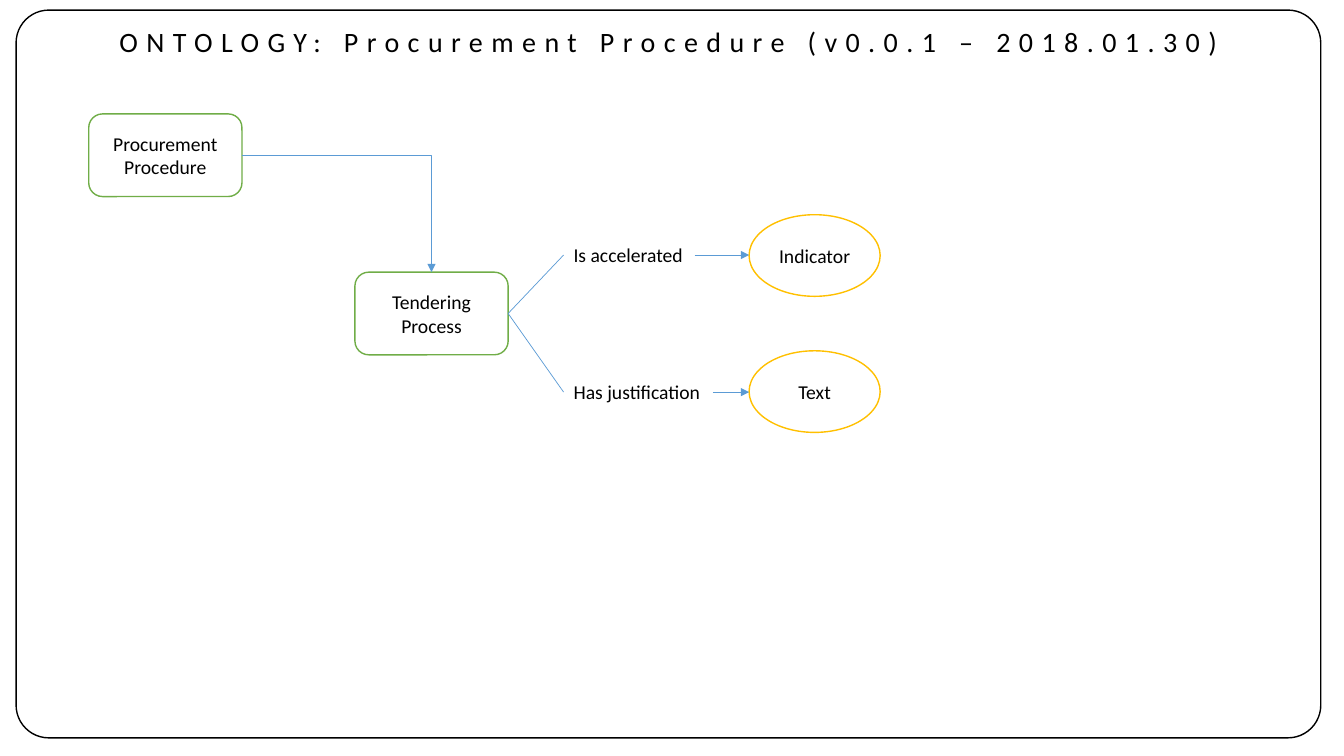
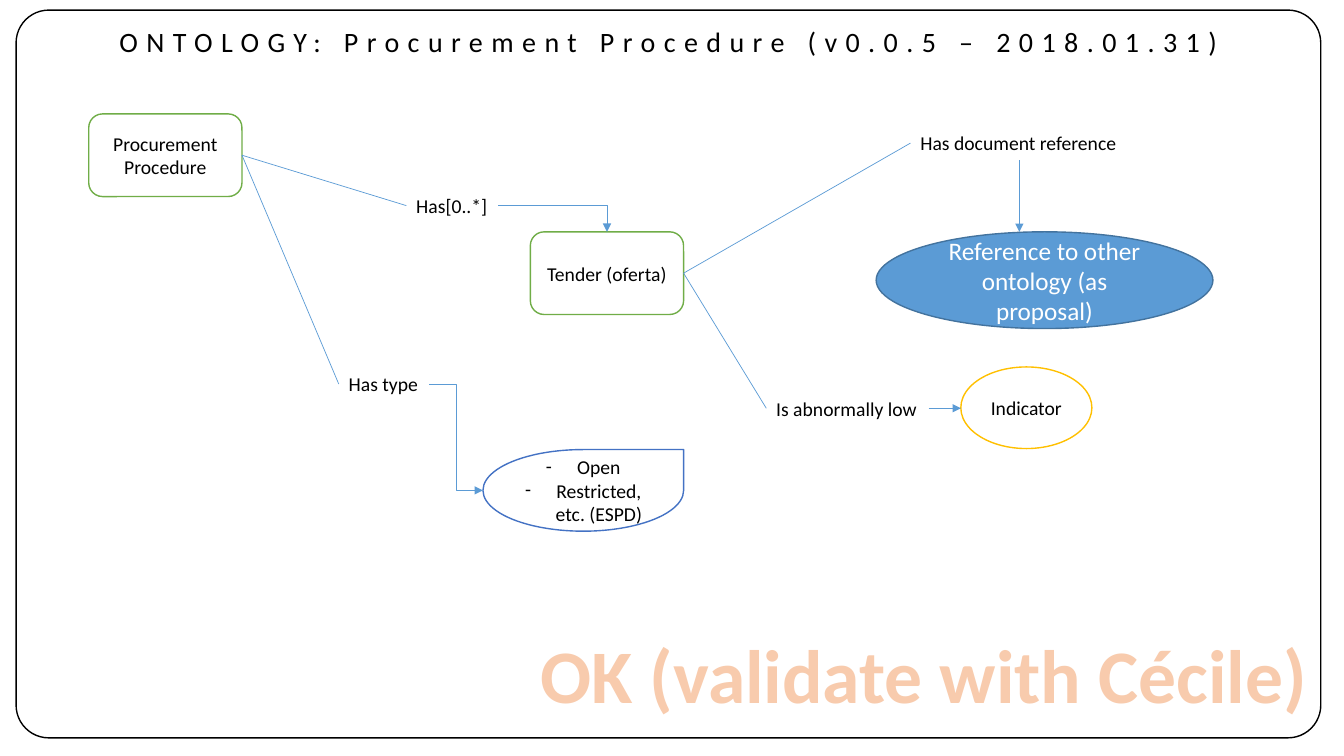
from pptx import Presentation
from pptx.util import Inches, Pt
from pptx.dml.color import RGBColor as RGB
from pptx.enum.shapes import MSO_SHAPE as Geo, MSO_CONNECTOR as Conn
from pptx.enum.text import PP_ALIGN as Align, MSO_ANCHOR as Anchor, MSO_AUTO_SIZE as Auto
from pptx.oxml.ns import qn
from lxml.etree import SubElement as Sub

HUE = {
    "ink": "000000", "white": "FFFFFF", "green": "70AD47", "gold": "FFC000",
    "blue": "5B9BD5", "navy": "43739E", "royal": "4472C4",
    "peach": "F8CBAD", "rust": "ED7D31",
}
FONT = "Calibri"

KINDS = {
    "frame": dict(geo=Geo.ROUNDED_RECTANGLE, fill=None, line="ink", size=20, anchor=Anchor.TOP),
    "class": dict(geo=Geo.ROUNDED_RECTANGLE, fill="white", line="green"),
    "value": dict(geo=Geo.OVAL, fill="white", line="gold"),
    "codes": dict(geo=Geo.TEAR, fill="white", line="royal"),
    "other": dict(geo=Geo.OVAL, fill="blue", line="navy", size=18, hue="white"),
    "label": dict(align=Align.LEFT),
    "stamp": dict(size=54, hue="peach", bold=True),
}
SIZES = {"class": (1.52, 0.82), "value": (1.3, 0.81), "codes": (1.99, 0.81),
         "other": (3.34, 0.96), "stamp": (7.89, 1.01)}
LABEL_H = 0.34
FRAME = (0.16, 0.1, 12.94, 7.22)
SIDES = {"top": (0.5, 0), "left": (0, 0.5), "low": (0.5, 1), "right": (1, 0.5)}

START = ("class", 0.88, 1.13, "Procurement Procedure")
SLIDES = [
    dict(
        title="ONTOLOGY: Procurement Procedure (v0.0.1 – 2018.01.30)",
        nodes={
            "start": START,
            "process": ("class", 3.52, 2.7, "Tendering Process"),
            "flag": ("value", 7.43, 2.13, "Indicator"),
            "fast": ("label", 5.59, 2.36, "Is accelerated", 1.3),
            "text": ("value", 7.43, 3.48, "Text"),
            "why": ("label", 5.59, 3.72, "Has justification", 1.48),
        },
        links=[
            ("start", "process", "turn"),
            ("process", "fast", "line"), ("fast", "flag", "arrow"),
            ("process", "why", "line"), ("why", "text", "arrow"),
        ],
    ),
    dict(
        title="ONTOLOGY: Procurement Procedure (v0.0.5 – 2018.01.31)",
        nodes={
            "start": START,
            "has": ("label", 4.03, 1.87, "Has[0..*]", 0.91),
            "tender": ("class", 5.26, 2.3, "Tender (oferta)"),
            "doc": ("label", 9.03, 1.25, "Has document reference", 2.16),
            "flag": ("value", 9.53, 3.64, "Indicator"),
            "low": ("label", 7.6, 3.88, "Is abnormally low", 1.61),
            "type": ("label", 3.36, 3.64, "Has type", 0.9),
            "codes": ("codes", 4.79, 4.46, ["Open", "Restricted, etc. (ESPD)"]),
            "other": ("other", 8.69, 2.3, "Reference to other ontology (as proposal)"),
            "stamp": ("stamp", 5.22, 6.17, "OK (validate with Cécile)"),
        },
        links=[
            ("start", "has", "line"), ("has", "tender", "turn"),
            ("start", "type", "line"), ("type", "codes", "step"),
            ("tender", "doc", "line"), ("doc", "other", "drop"),
            ("tender", "low", "line"), ("low", "flag", "arrow"),
        ],
    ),
]


def paint(part, name):
    part.solid()
    part.fore_color.rgb = RGB.from_string(HUE[name])


def write(shape, text, kind):
    look = KINDS[kind]
    frame = shape.text_frame
    items = text if isinstance(text, list) else [text]
    frame.text = "\n".join(items)
    frame.vertical_anchor = look.get("anchor", Anchor.MIDDLE)
    form = dict(name=FONT, size=Pt(look.get("size", 14)), bold=look.get("bold", False))
    for para in frame.paragraphs:
        para.alignment = look.get("align", Align.CENTER)
        font = para.runs[0].font
        for key, val in form.items():
            setattr(font, key, val)
        paint(font.fill, look.get("hue", "ink"))
        if kind == "codes":
            props = para._p.get_or_add_pPr()
            props.set("marL", str(Inches(0.31)))
            props.set("indent", str(-Inches(0.31)))
            Sub(props, qn("a:buFont")).set("typeface", FONT)
            Sub(props, qn("a:buChar")).set("char", "-")
    return frame


def draw(slide, kind, box, text):
    look = KINDS[kind]
    place = [Inches(n) for n in box]
    if "geo" not in look:
        shape = slide.shapes.add_textbox(*place)
        frame = write(shape, text, kind)
        frame.word_wrap = False
        frame.auto_size = Auto.SHAPE_TO_FIT_TEXT
        return shape
    shape = slide.shapes.add_shape(look["geo"], *place)
    shape.shadow.inherit = False
    if look["fill"]:
        paint(shape.fill, look["fill"])
    else:
        shape.fill.background()
    paint(shape.line.fill, look["line"])
    shape.line.width = Pt(1)
    write(shape, text, kind)
    return shape


def edge(box, side):
    x, y, w, h = box
    a, b = SIDES[side]
    return x + a * w, y + b * h


def link(slide, src, dst, kind):
    tip = "top" if kind in ("turn", "drop") else "left"
    x1, y1 = edge(src, "low" if kind == "drop" else "right")
    x2, y2 = edge(dst, tip)
    if kind == "drop":
        x2 = x1
    if kind == "arrow":
        y2 = y1
    bent = kind in ("turn", "step")
    ends = [Inches(n) for n in (x1, y1, x2, y2)]
    wire = slide.shapes.add_connector(Conn.ELBOW if bent else Conn.STRAIGHT, *ends)
    paint(wire.line.fill, "blue")
    wire.line.width = Pt(0.5)
    props = wire._element.spPr
    if kind == "turn":
        props.find(qn("a:prstGeom")).set("prst", "bentConnector2")
    if kind != "line":
        Sub(props.find(qn("a:ln")), qn("a:tailEnd")).set("type", "triangle")
    Sub(props, qn("a:effectLst"))


def outline(shape):
    props = shape.text_frame.paragraphs[0].runs[0].font._element
    line = Sub(props, qn("a:ln"))
    line.set("w", str(Pt(1.75)))
    Sub(Sub(line, qn("a:solidFill")), qn("a:srgbClr")).set("val", HUE["rust"])
    props.insert(0, line)


def build(deck, data):
    slide = deck.slides.add_slide(deck.slide_layouts[6])
    frame = draw(slide, "frame", FRAME, data["title"])
    frame.adjustments[0] = 0.045
    frame.text_frame.paragraphs[0].runs[0].font._element.set("spc", "600")
    boxes = {}
    for name, (kind, x, y, text, *wide) in data["nodes"].items():
        size = (wide[0], LABEL_H) if wide else SIZES[kind]
        boxes[name] = (x, y, *size)
        shape = draw(slide, kind, boxes[name], text)
        if kind == "stamp":
            outline(shape)
    for src, dst, kind in data["links"]:
        link(slide, boxes[src], boxes[dst], kind)


deck = Presentation()
deck.slide_width, deck.slide_height = Inches(13.33), Inches(7.5)
for data in SLIDES:
    build(deck, data)
deck.save("out.pptx")
